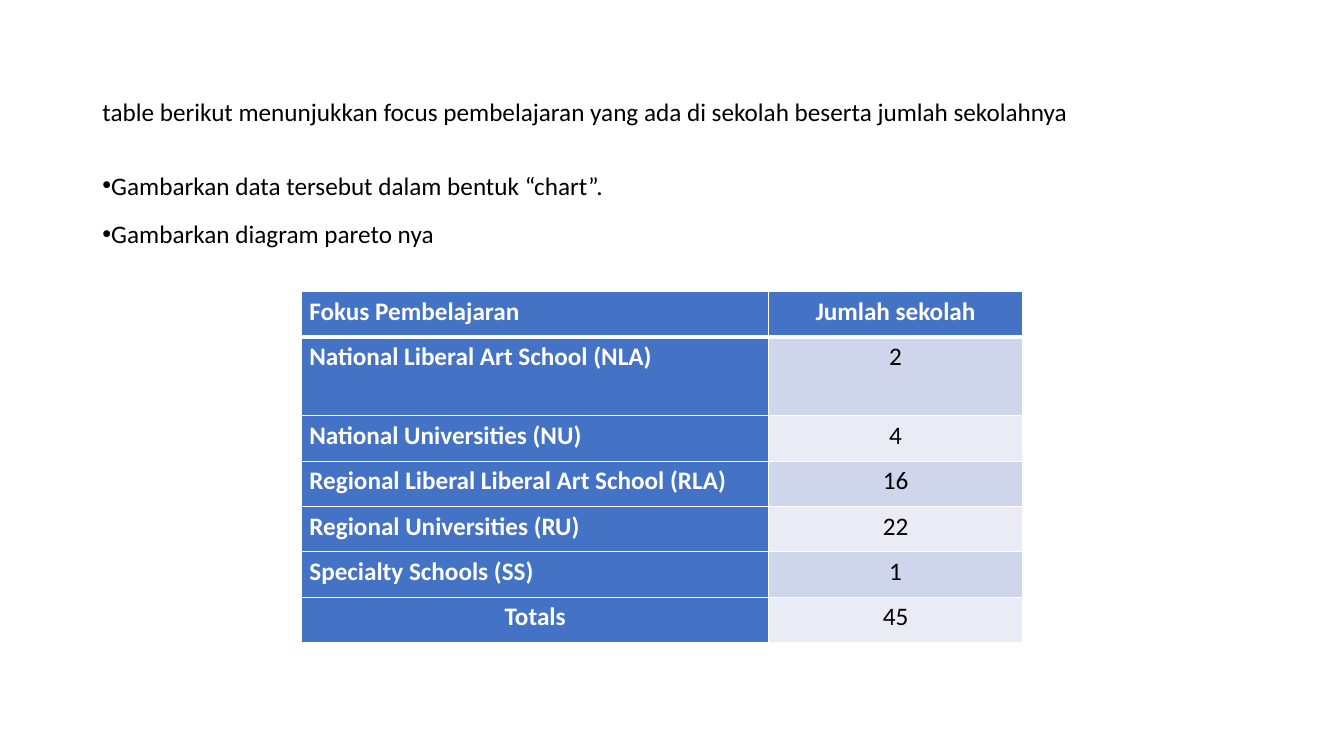
from dataclasses import dataclass

from lxml import etree
from pptx import Presentation
from pptx.dml.color import RGBColor
from pptx.enum.text import MSO_ANCHOR, MSO_AUTO_SIZE, PP_ALIGN
from pptx.oxml.ns import qn
from pptx.util import Pt

LEFT, CENTER = PP_ALIGN.LEFT, PP_ALIGN.CENTER
TOP, MIDDLE = MSO_ANCHOR.TOP, MSO_ANCHOR.MIDDLE
NO_AUTOFIT = MSO_AUTO_SIZE.NONE

BLACK = RGBColor(0x00, 0x00, 0x00)
WHITE = RGBColor(0xFF, 0xFF, 0xFF)
BLUE = RGBColor(0x44, 0x72, 0xC4)
BAND_DARK = RGBColor(0xCF, 0xD5, 0xEA)
BAND_LIGHT = RGBColor(0xE9, 0xEB, 0xF5)

FONT = "Calibri"
COLUMN_WIDTHS = (333.4, 181.4)
ROW_HEIGHT = 32.4
TALL_ROW_HEIGHT = 56.2
CELL_MARGIN = 5.4


@dataclass
class FocusRow:
    label: str
    count: str
    height: float = ROW_HEIGHT
    label_align: PP_ALIGN = LEFT


TITLE = "table berikut menunjukkan focus pembelajaran yang ada di sekolah beserta jumlah sekolahnya"
TASKS = ("Gambarkan data tersebut dalam bentuk “chart”.", "Gambarkan diagram pareto nya")
ROWS = (
    FocusRow("Fokus Pembelajaran", "Jumlah sekolah"),
    FocusRow("National Liberal Art School (NLA)", "2", height=TALL_ROW_HEIGHT),
    FocusRow("National Universities (NU)", "4"),
    FocusRow("Regional Liberal Liberal Art School (RLA)", "16"),
    FocusRow("Regional Universities (RU)", "22"),
    FocusRow("Specialty Schools (SS)", "1"),
    FocusRow("Totals", "45", label_align=CENTER),
)


def write_text(para, text: str, *, color: RGBColor = BLACK, bold: bool = False,
               align: PP_ALIGN = LEFT, line_spacing: float = 1.15, after: float = 10) -> None:
    para.alignment = align
    para.line_spacing = line_spacing
    para.space_before = Pt(0)
    para.space_after = Pt(after)
    span = para.add_run()
    span.text = text
    span.font.name = FONT
    span.font.size = Pt(18)
    span.font.bold = bold
    span.font.color.rgb = color


def place(box, left: float, top: float, width: float, height: float, anchor: MSO_ANCHOR) -> None:
    box.left, box.top, box.width, box.height = Pt(left), Pt(top), Pt(width), Pt(height)
    box.text_frame.auto_size = NO_AUTOFIT
    box.text_frame.vertical_anchor = anchor


def add_bullet(para) -> None:
    properties = para._p.get_or_add_pPr()
    properties.set("marL", "0")
    properties.set("indent", str(-Pt(18)))
    etree.SubElement(properties, qn("a:buFont"), typeface="Arial")
    etree.SubElement(properties, qn("a:buChar"), char="•")


def set_borders(cell, *, top: float, bottom: float) -> None:
    properties = cell._tc.get_or_add_tcPr()
    widths = {"a:lnL": 1, "a:lnR": 1, "a:lnT": top, "a:lnB": bottom}
    for index, (side, width) in enumerate(widths.items()):
        line = etree.Element(qn(side), w=str(Pt(width)))
        fill = etree.SubElement(line, qn("a:solidFill"))
        etree.SubElement(fill, qn("a:srgbClr"), val=str(WHITE))
        properties.insert(index, line)


def fill_cell(cell, text: str, *, fill: RGBColor, color: RGBColor, bold: bool,
              align: PP_ALIGN) -> None:
    cell.margin_left = cell.margin_right = Pt(CELL_MARGIN)
    cell.margin_top = cell.margin_bottom = Pt(0)
    cell.vertical_anchor = TOP
    cell.fill.solid()
    cell.fill.fore_color.rgb = fill
    write_text(cell.text_frame.paragraphs[0], text, color=color, bold=bold, align=align)


def add_focus_table(page) -> None:
    total_height = sum(row.height for row in ROWS)
    table = page.shapes.add_table(len(ROWS), len(COLUMN_WIDTHS), Pt(215.6), Pt(208.4),
                                  Pt(sum(COLUMN_WIDTHS)), Pt(total_height)).table
    for column, width in zip(table.columns, COLUMN_WIDTHS):
        column.width = Pt(width)
    for index, row in enumerate(ROWS):
        table.rows[index].height = Pt(row.height)
        band = BAND_DARK if index % 2 else BAND_LIGHT
        for column, (text, align) in enumerate(((row.label, row.label_align), (row.count, CENTER))):
            cell = table.cell(index, column)
            heading = index == 0 or column == 0
            fill_cell(cell, text, fill=BLUE if heading else band,
                      color=WHITE if heading else BLACK, bold=heading, align=align)
            set_borders(cell, top=3 if index == 1 else 1, bottom=3 if index == 0 else 1)


def main() -> None:
    deck = Presentation()
    deck.slide_width, deck.slide_height = Pt(960), Pt(540)
    page = deck.slides.add_slide(deck.slide_layouts[1])

    # Title
    title = page.shapes.title
    place(title, 66, 28.8, 828, 104.4, MIDDLE)
    write_text(title.text_frame.paragraphs[0], TITLE, line_spacing=0.9, after=0)

    # Task list
    body = page.placeholders[1]
    place(body, 66, 114.5, 828, 342.6, TOP)
    for index, task in enumerate(TASKS):
        frame = body.text_frame
        para = frame.add_paragraph() if index else frame.paragraphs[0]
        write_text(para, task)
        add_bullet(para)

    # Table of learning focus
    add_focus_table(page)

    deck.save("out.pptx")


if __name__ == "__main__":
    main()
